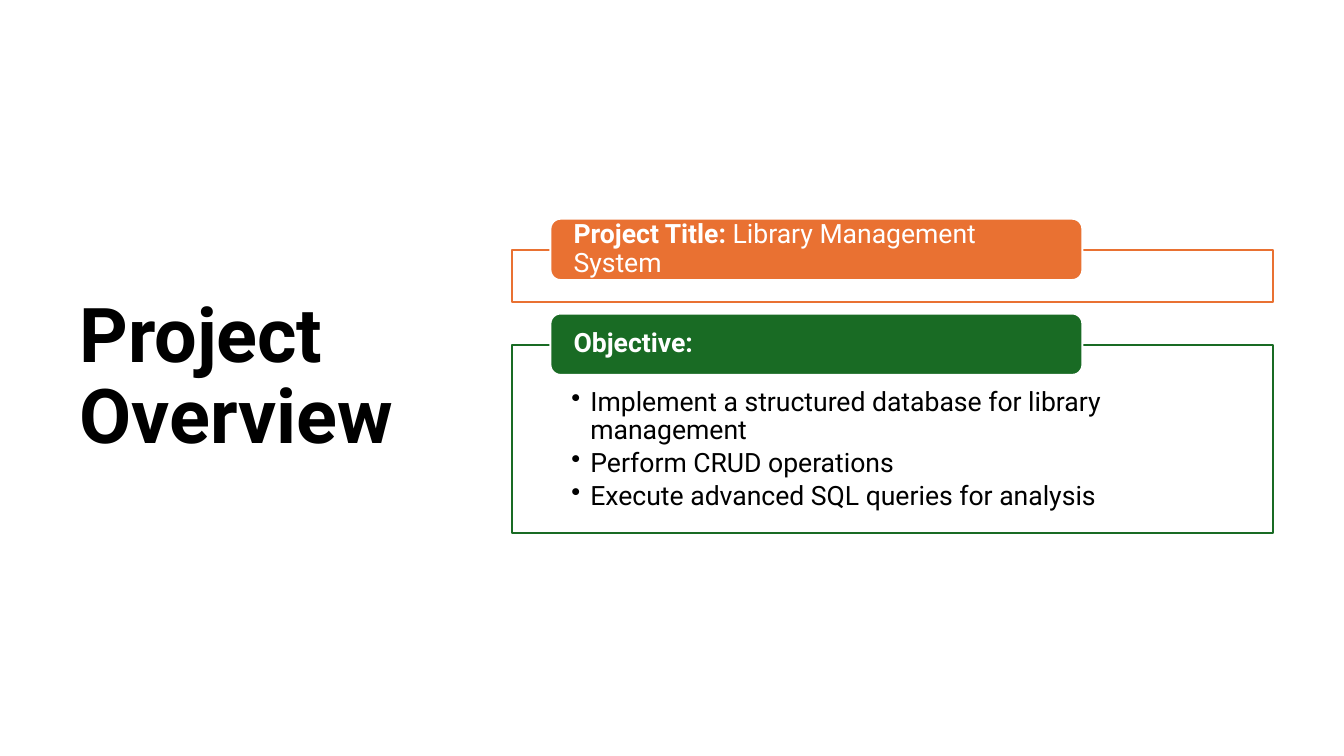
from lxml.etree import SubElement
from pptx import Presentation
from pptx.dml.color import RGBColor
from pptx.enum.shapes import MSO_SHAPE
from pptx.enum.text import MSO_ANCHOR, PP_ALIGN
from pptx.oxml.ns import qn
from pptx.util import Cm, Pt

BLACK = RGBColor(0x00, 0x00, 0x00)
WHITE = RGBColor(0xFF, 0xFF, 0xFF)
ORANGE = RGBColor(0xE9, 0x71, 0x32)
GREEN = RGBColor(0x19, 0x6B, 0x24)
FONT = "Roboto"

# Content
HEADING = "Project Overview"
# (colour, frame height in cm, bold label, label remainder, bullets)
SECTIONS = [
    (ORANGE, 1.32, "Project Title:", " Library Management System", []),
    (GREEN, 4.75, "Objective:", "", [
        "Implement a structured database for library management",
        "Perform CRUD operations",
        "Execute advanced SQL queries for analysis",
    ]),
]

# Layout, in cm
FRAME_LEFT, FRAME_TOP, FRAME_WIDTH, FRAME_GAP = 12.9, 6.3, 19.18, 1.07
LABEL_INDENT, LABEL_RISE = 0.97, 0.79
LABEL_WIDTH, LABEL_HEIGHT = 13.41, 1.55
BULLET_INDENT = 0.48


def add_run(paragraph, text, size, color, bold=False):
    run = paragraph.add_run()
    run.text = text
    run.font.name = FONT
    run.font.size = Pt(size)
    run.font.bold = bold
    run.font.color.rgb = color


def set_frame(text_frame, anchor, left, top, right, bottom):
    text_frame.word_wrap = True
    text_frame.vertical_anchor = anchor
    text_frame.margin_left, text_frame.margin_top = Cm(left), Cm(top)
    text_frame.margin_right, text_frame.margin_bottom = Cm(right), Cm(bottom)


def add_panel(kind, left, top, width, height, fill, line):
    panel = slide.shapes.add_shape(kind, Cm(left), Cm(top), Cm(width), Cm(height))
    panel.shadow.inherit = False
    panel.fill.solid()
    panel.fill.fore_color.rgb = fill
    panel.line.color.rgb = line
    panel.line.width = Pt(1.5)
    return panel


def add_bullets(text_frame, bullets):
    for index, bullet in enumerate(bullets):
        paragraph = text_frame.add_paragraph() if index else text_frame.paragraphs[0]
        paragraph.alignment = PP_ALIGN.LEFT
        paragraph.line_spacing = 0.9
        paragraph.space_after = Pt(2.85)
        properties = paragraph._p.get_or_add_pPr()
        properties.set("marL", str(Cm(BULLET_INDENT)))
        properties.set("indent", str(-Cm(BULLET_INDENT)))
        SubElement(properties, qn("a:buChar"), char="•")
        add_run(paragraph, bullet, 19, BLACK)


presentation = Presentation()
presentation.slide_width, presentation.slide_height = Cm(33.87), Cm(19.05)
slide = presentation.slides.add_slide(presentation.slide_layouts[6])

# Heading
heading = slide.shapes.add_textbox(Cm(1.75), Cm(1.78), Cm(9.5), Cm(15.52)).text_frame
set_frame(heading, MSO_ANCHOR.MIDDLE, 0.25, 0.13, 0.25, 0.13)
heading.paragraphs[0].line_spacing = 0.9
add_run(heading.paragraphs[0], HEADING, 54, BLACK, bold=True)

# Sections: an outlined frame with a label over its top edge
top = FRAME_TOP
for color, height, title, detail, bullets in SECTIONS:
    frame = add_panel(MSO_SHAPE.RECTANGLE, FRAME_LEFT, top, FRAME_WIDTH, height,
                      WHITE, color)
    set_frame(frame.text_frame, MSO_ANCHOR.TOP, 1.5, 1.09, 1.5, 0.38)
    add_bullets(frame.text_frame, bullets)

    label = add_panel(MSO_SHAPE.ROUNDED_RECTANGLE, FRAME_LEFT + LABEL_INDENT,
                      top - LABEL_RISE, LABEL_WIDTH, LABEL_HEIGHT, color, WHITE)
    set_frame(label.text_frame, MSO_ANCHOR.MIDDLE, 0.51, 0, 0.51, 0)
    caption = label.text_frame.paragraphs[0]
    caption.alignment = PP_ALIGN.LEFT
    caption.line_spacing = 0.9
    add_run(caption, title, 19, WHITE, bold=True)
    if detail:
        add_run(caption, detail, 19, WHITE)
    top += height + FRAME_GAP

presentation.save("out.pptx")
